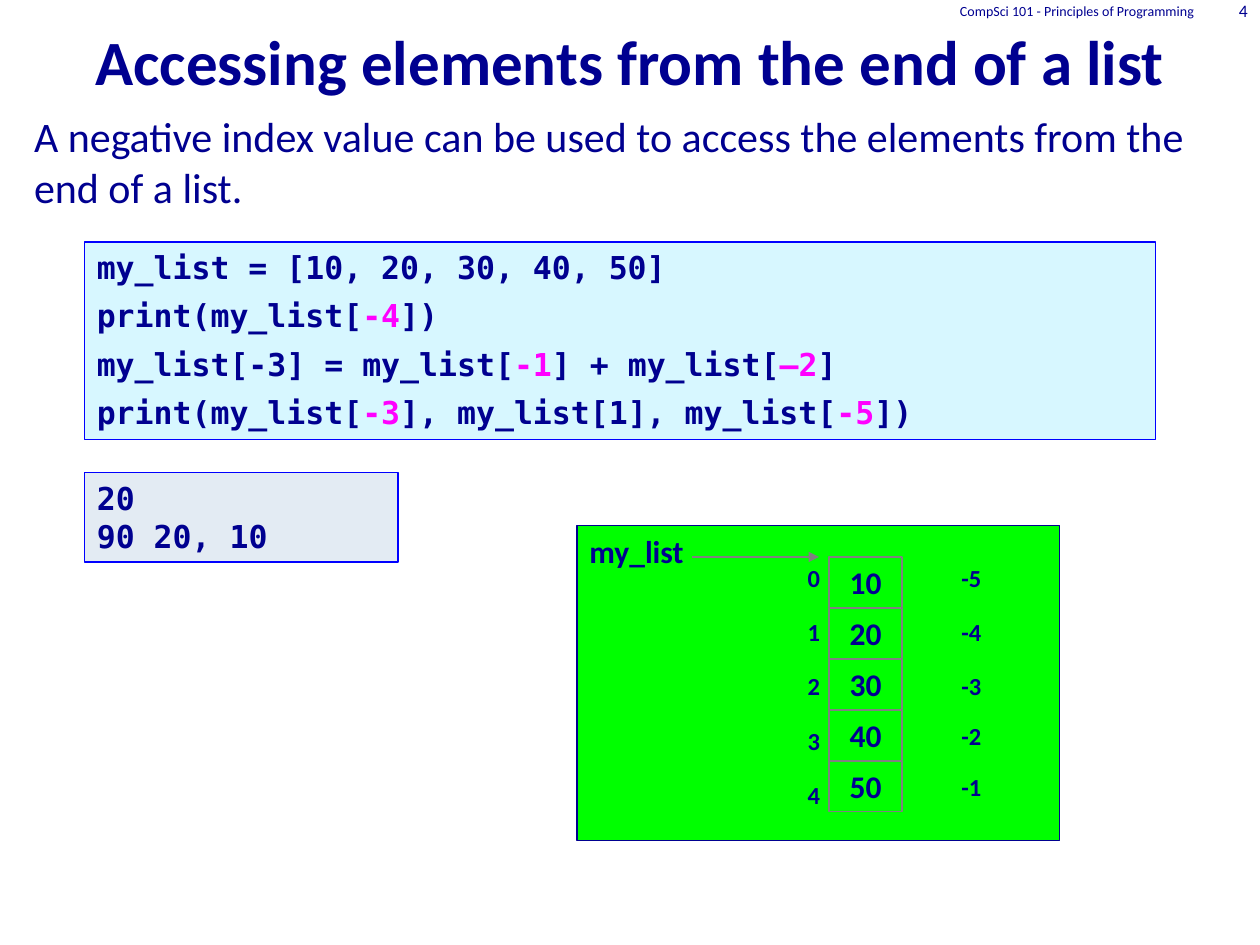
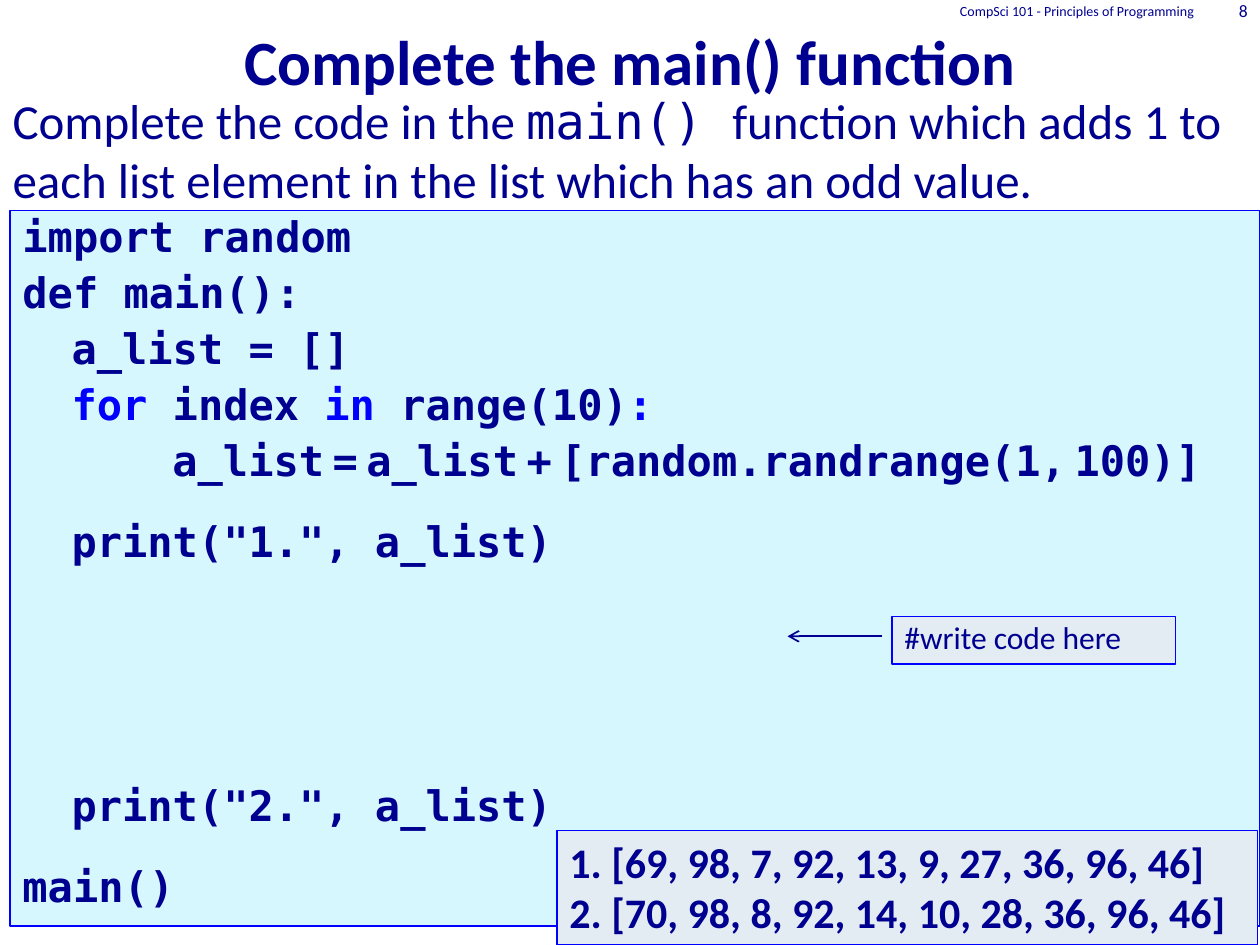
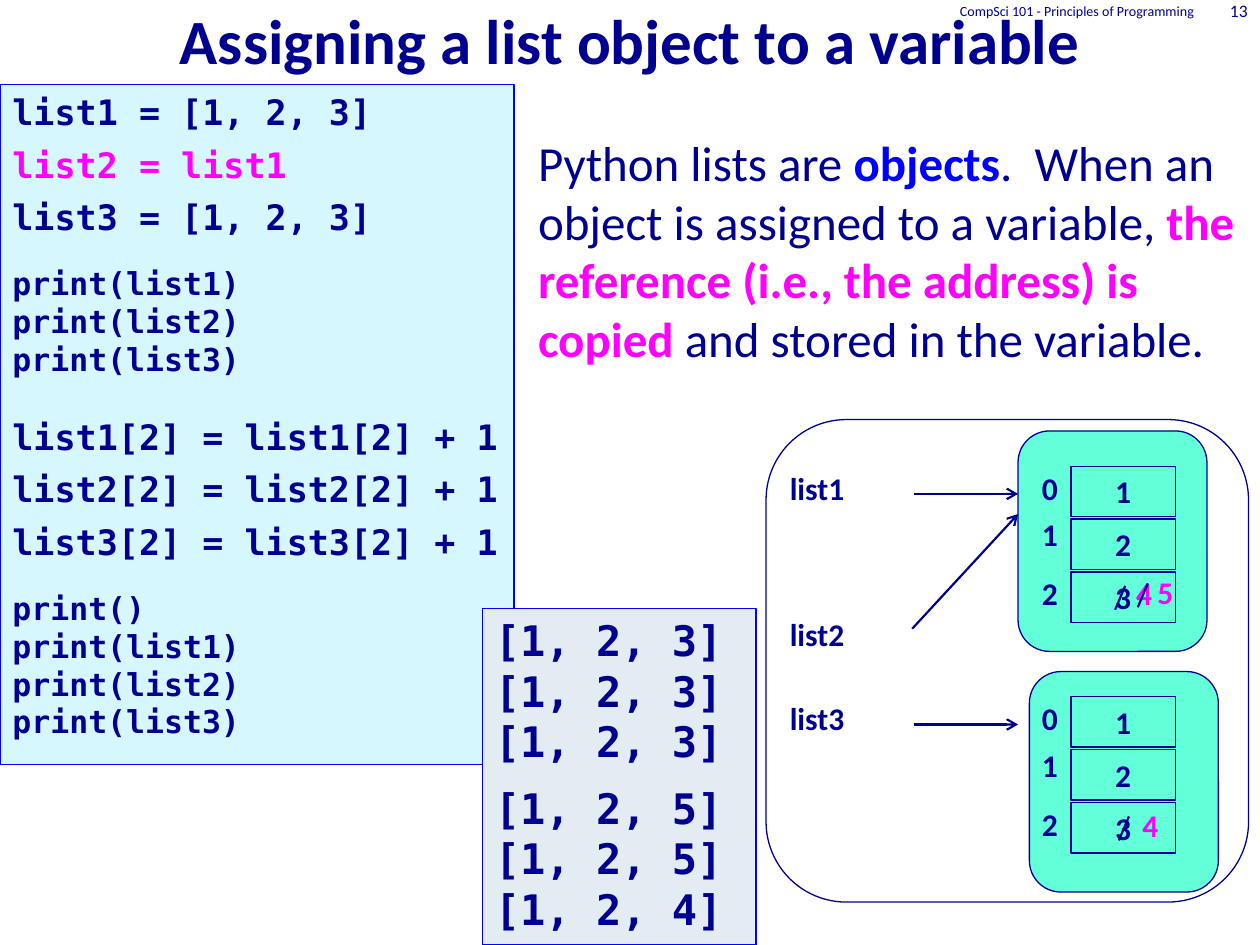
"""Build three lecture slides about Python lists."""
from lxml import etree
from pptx import Presentation
from pptx.dml.color import RGBColor
from pptx.enum.shapes import MSO_CONNECTOR, MSO_SHAPE
from pptx.enum.text import MSO_ANCHOR, MSO_AUTO_SIZE, PP_ALIGN
from pptx.oxml.ns import qn
from pptx.util import Inches, Pt

RECTANGLE, ROUNDED = MSO_SHAPE.RECTANGLE, MSO_SHAPE.ROUNDED_RECTANGLE
STRAIGHT = MSO_CONNECTOR.STRAIGHT
TOP, MIDDLE, BOTTOM = MSO_ANCHOR.TOP, MSO_ANCHOR.MIDDLE, MSO_ANCHOR.BOTTOM
LEFT, CENTER, RIGHT = PP_ALIGN.LEFT, PP_ALIGN.CENTER, PP_ALIGN.RIGHT
NO_AUTOFIT = MSO_AUTO_SIZE.NONE

NAVY = RGBColor(0x00, 0x00, 0x90)
BLUE = RGBColor(0x00, 0x00, 0xFF)
PINK = RGBColor(0xFF, 0x00, 0xFF)
GRAY = RGBColor(0x80, 0x80, 0x80)
GREEN = RGBColor(0x00, 0xFF, 0x00)
MINT = RGBColor(0x62, 0xFF, 0xD9)
CODE_FILL = RGBColor(0xD7, 0xF7, 0xFF)
OUTPUT_FILL = RGBColor(0xE3, 0xEB, 0xF3)

SANS, MONO = "Calibri", "DejaVu Sans Mono"
FOOTER = "CompSci 101 - Principles of Programming"
CODE = {"font": MONO, "bold": True}
LABEL = {"size": 18, "bold": True}


def pink(text, **style):
    """Return a highlighted run."""
    return text, {"color": PINK, **style}


def blue(text, **style):
    """Return a keyword run."""
    return text, {"color": BLUE, **style}


def add_text(frame, text, size=18, font=SANS, color=NAVY, bold=False,
             align=LEFT, before=0, after=0, spacing=1.0, indent=0):
    """Add one paragraph; text is a string or a list of strings and (string, style) runs."""
    paragraph = frame.paragraphs[0]
    if paragraph.runs:
        paragraph = frame.add_paragraph()
    paragraph.alignment = align
    paragraph.space_before, paragraph.space_after = Pt(before), Pt(after)
    paragraph.line_spacing = spacing
    properties = paragraph._p.get_or_add_pPr()
    properties.set("marL", str(Inches(indent)))
    properties.set("indent", "0")
    etree.SubElement(properties, qn("a:buNone"))
    base = {"size": size, "font": font, "color": color, "bold": bold}
    for item in [text] if isinstance(text, str) else text:
        words, changes = (item, {}) if isinstance(item, str) else item
        style = {**base, **changes}
        run = paragraph.add_run()
        run.text = words
        run.font.size = Pt(style["size"])
        run.font.name = style["font"]
        run.font.bold = style["bold"]
        run.font.color.rgb = style["color"]


class Deck:
    """Hold the presentation, its style and the current slide."""

    def __init__(self):
        """Start an empty presentation."""
        self.presentation = Presentation()
        self.presentation.slide_width = Inches(10)
        self.presentation.slide_height = Inches(7.5)
        self.slide = None

    def new_slide(self, title, number, body, body_box, body_size, title_top=0):
        """Add a slide with title, body, footer and page number."""
        layout = self.presentation.slide_layouts[1]
        self.slide = self.presentation.slides.add_slide(layout)
        title_shape, body_shape = self.slide.placeholders
        frame = self.place(title_shape, (0, title_top, 10, 0.83), BOTTOM)
        add_text(frame, title, size=36, bold=True, align=CENTER)
        frame = self.place(body_shape, body_box, TOP)
        add_text(frame, body, size=body_size, before=body_size / 5)
        self.text(FOOTER, (6.58, 0, 3, 0.17), MIDDLE, size=8, align=RIGHT)
        self.text(str(number), (9.42, 0, 0.58, 0.17), MIDDLE, size=10, align=RIGHT)

    def place(self, shape, box, anchor):
        """Position a placeholder and return its text frame."""
        shape.left, shape.top, shape.width, shape.height = map(Inches, box)
        return self.prepare(shape, anchor)

    def prepare(self, shape, anchor):
        """Set wrapping and anchoring of a shape's text frame."""
        frame = shape.text_frame
        frame.word_wrap = True
        frame.auto_size = NO_AUTOFIT
        frame.vertical_anchor = anchor
        return frame

    def text(self, text, box, anchor=TOP, **style):
        """Add a one-paragraph text box."""
        shape = self.slide.shapes.add_textbox(*map(Inches, box))
        add_text(self.prepare(shape, anchor), text, **style)
        return shape

    def panel(self, box, fill=None, line=BLUE, kind=RECTANGLE, paragraphs=(), **style):
        """Add a shape with (text, own style) paragraphs over a common style."""
        shape = self.slide.shapes.add_shape(kind, *map(Inches, box))
        shape.shadow.inherit = False
        if fill is None:
            shape.fill.background()
        else:
            shape.fill.solid()
            shape.fill.fore_color.rgb = fill
        shape.line.color.rgb = line
        shape.line.width = Pt(0.75)
        frame = self.prepare(shape, TOP)
        for text, changes in paragraphs:
            add_text(frame, text, **{**style, **changes})

    def line(self, start, end, color=NAVY, width=1.25, head=None):
        """Add a straight line with an optional arrowhead at its end."""
        connector = self.slide.shapes.add_connector(STRAIGHT, *map(Inches, start + end))
        connector.line.color.rgb = color
        connector.line.width = Pt(width)
        properties = connector._element.spPr
        if head:
            etree.SubElement(properties.find(qn("a:ln")), qn("a:tailEnd"), type=head)
        etree.SubElement(properties, qn("a:effectLst"))

    def cells(self, values, left, top, width, step, line):
        """Stack the boxed elements of a list."""
        for row, value in enumerate(values):
            self.panel((left, top + row * step, width, 0.4), line=line,
                       paragraphs=[(value, {})], align=CENTER, **LABEL)

    def list_object(self, left, top, cell_top):
        """Draw a list object with its indexes and three elements."""
        self.panel((left, top, 1.5, 1.75), MINT, NAVY, ROUNDED)
        indexes = self.text("0", (8.17, cell_top - 0.03, 0.83, 1.25), **LABEL)
        add_text(indexes.text_frame, "1", before=4.9, **LABEL)
        add_text(indexes.text_frame, "2", before=12.2, **LABEL)
        self.cells("123", 8.5, cell_top, 0.83, 0.42, NAVY)

    def new_value(self, value, left, top):
        """Write a replacement element value."""
        self.text(value, (left, top, 0.5, 0.42), color=PINK, align=CENTER, **LABEL)


def build_negative_index(deck):
    """Slide on negative index values."""
    deck.new_slide(
        "Accessing elements from the end of a list", 4,
        "A negative index value can be used to access the elements from the end of a list.",
        (0.17, 0.83, 9.7, 6.33), 24)
    code = [
        "my_list = [10, 20, 30, 40, 50]",
        ["print(my_list[", pink("-4"), "])"],
        ["my_list[-3] = my_list[", pink("-1"), "] + my_list[", pink("–2"), "]"],
        ["print(my_list[", pink("-3"), "], my_list[1], my_list[", pink("-5"), "])"],
    ]
    deck.panel((0.67, 1.92, 8.5, 1.57), CODE_FILL,
               paragraphs=[(text, {}) for text in code], after=6, **CODE)
    deck.panel((0.67, 3.75, 2.49, 0.71), OUTPUT_FILL,
               paragraphs=[("20", {}), ("90 20, 10", {})], **CODE)

    deck.panel((4.58, 4.17, 3.83, 2.5), GREEN, NAVY)
    deck.text("my_list", (4.58, 4.17, 1.2, 0.4), **LABEL)
    negative_tops = (4.42, 4.85, 5.28, 5.67, 6.08)
    for row, negative_top in enumerate(negative_tops):
        for text, left, top in ((str(row), 6.17, 4.42 + row * 0.43),
                                (str(row - 5), 7.42, negative_top)):
            deck.text(text, (left, top, 0.58, 0.34), size=14, bold=True, align=CENTER)
    deck.line((5.49, 4.42), (6.5, 4.42), GRAY, 0.75, "triangle")
    deck.cells(("10", "20", "30", "40", "50"), 6.58, 4.42, 0.58, 0.405, GRAY)


def build_exercise(deck):
    """Slide with the main() exercise."""
    deck.new_slide(
        "Complete the main() function", 8,
        ["Complete the code in the ", ("main() ", {"font": MONO}),
         "function which adds 1 to each list element in the list which has an odd value."],
        (0, 0.67, 10, 6.08), 28)
    thin_space = (" ", {"size": 8})
    inner = {"indent": 0.39}
    code = [
        ("import random", {}),
        ("def main():", {}),
        ("a_list = []", inner),
        ([blue("for"), " index ", blue("in "), "range(10)", blue(":")], inner),
        (["a_list", thin_space, "=", thin_space, "a_list", thin_space, "+", thin_space,
          "[random.randrange(1,", thin_space, "100)]"], {"indent": 1.19}),
        ('print("1.", a_list)', {**inner, "before": 20.4}),
        ('print("2.", a_list)', {**inner, "before": 125}),
        ("main()", {"before": 20.4}),
    ]
    deck.panel((0.08, 1.67, 9.92, 5.68), CODE_FILL, paragraphs=code,
               size=24, before=6, spacing=0.9, **CODE)
    output = [("1. [69, 98, 7, 92, 13, 9, 27, 36, 96, 46]", {}),
              ("2. [70, 98, 8, 92, 14, 10, 28, 36, 96, 46]", {})]
    deck.panel((4.42, 6.59, 5.56, 0.91), OUTPUT_FILL, paragraphs=output, size=24, bold=True)
    deck.panel((7.08, 4.89, 2.25, 0.38), OUTPUT_FILL,
               paragraphs=[("#write code here", {})], spacing=0.9)
    deck.line((7, 5.05), (6.25, 5.05), width=1, head="arrow")


def build_references(deck):
    """Slide on list references."""
    deck.new_slide(
        "Assigning a list object to a variable", 13,
        ["Python lists are ", blue("objects", bold=True),
         ".  When an object is assigned to a variable, ",
         pink("the reference (i.e., the address) is copied ", bold=True),
         "and stored in the variable."],
        (4.17, 1, 5.92, 6.22), 28, title_top=-0.17)
    names = ("list1", "list2", "list3")
    statement = {"size": 20, "before": 6}
    after_gap = {"before": 15.3}
    prints = [f"print({name})" for name in names]
    code = [("list1 = [1, 2, 3]", statement),
            ([pink("list2 = list1")], statement),
            ("list3 = [1, 2, 3]", statement),
            (prints[0], after_gap)]
    code += [(text, {}) for text in prints[1:]]
    code += [(f"{name}[2] = {name}[2] + 1",
              {"size": 20, "before": 21.3 if name == "list1" else 6}) for name in names]
    code += [("print()", after_gap)] + [(text, {}) for text in prints]
    deck.panel((0, 0.67, 4.08, 5.4), CODE_FILL, paragraphs=code, **CODE)

    output = [("[1, 2, 3]", {})] * 3
    output += [("[1, 2, 5]", {"before": 9.3}), ("[1, 2, 5]", {}), ("[1, 2, 4]", {})]
    deck.panel((3.83, 4.83, 2.17, 2.67), OUTPUT_FILL, paragraphs=output, size=24, **CODE)

    deck.list_object(8.08, 3.42, 3.7)
    deck.list_object(8.17, 5.33, 5.53)
    for name, top in zip(names, (3.67, 4.83, 5.5)):
        deck.text(name, (6.17, top, 1.5, 0.4), **LABEL)
    for start, end in (((7.25, 3.92), (8.08, 3.92)),
                       ((7.24, 4.99), (8.08, 4.08)),
                       ((7.25, 5.75), (8.08, 5.75))):
        deck.line(start, end, head="arrow")
    for value, left, top in (("4", 8.83, 4.51), ("5", 9, 4.5), ("4", 8.88, 6.35)):
        deck.new_value(value, left, top)
    for left, bottom in ((8.85, 4.84), (9.03, 4.82), (8.88, 6.67)):
        deck.line((left, bottom), (left + 0.08, bottom - 0.19))
    deck.panel((6.08, 3.33, 3.83, 3.83), line=NAVY, kind=ROUNDED)


def main():
    """Build and save the slides."""
    deck = Deck()
    build_negative_index(deck)
    build_exercise(deck)
    build_references(deck)
    deck.presentation.save("out.pptx")


if __name__ == "__main__":
    main()
